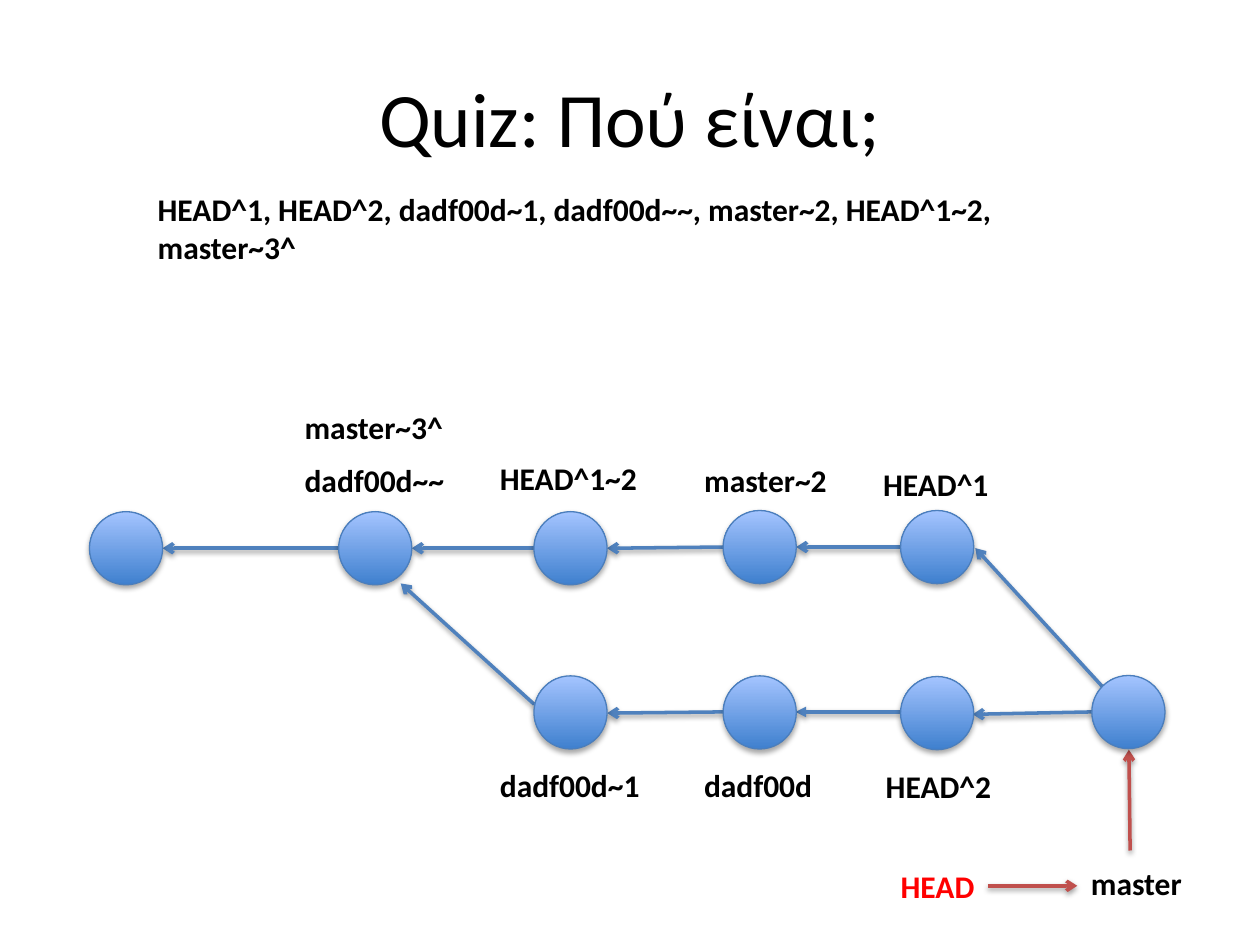
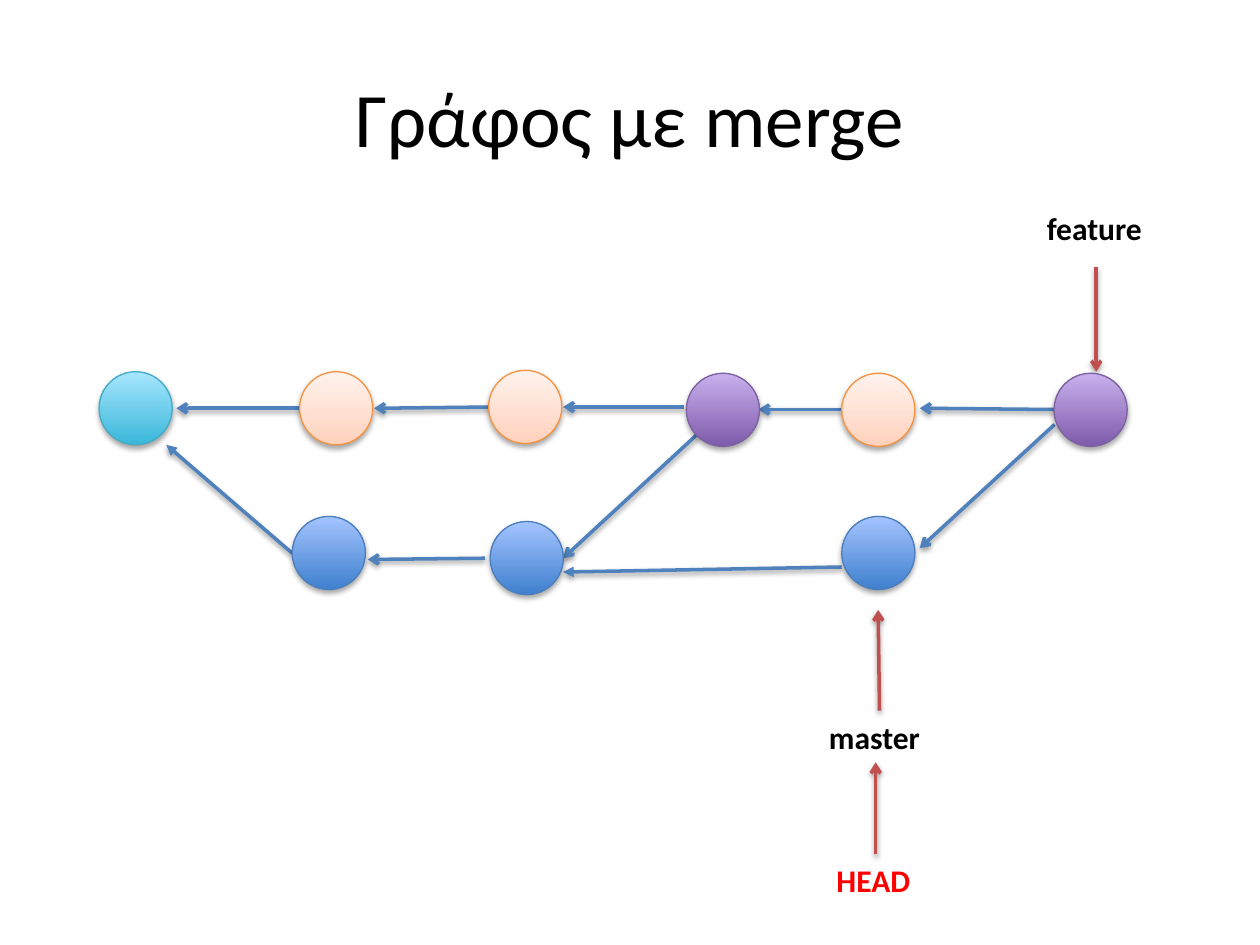
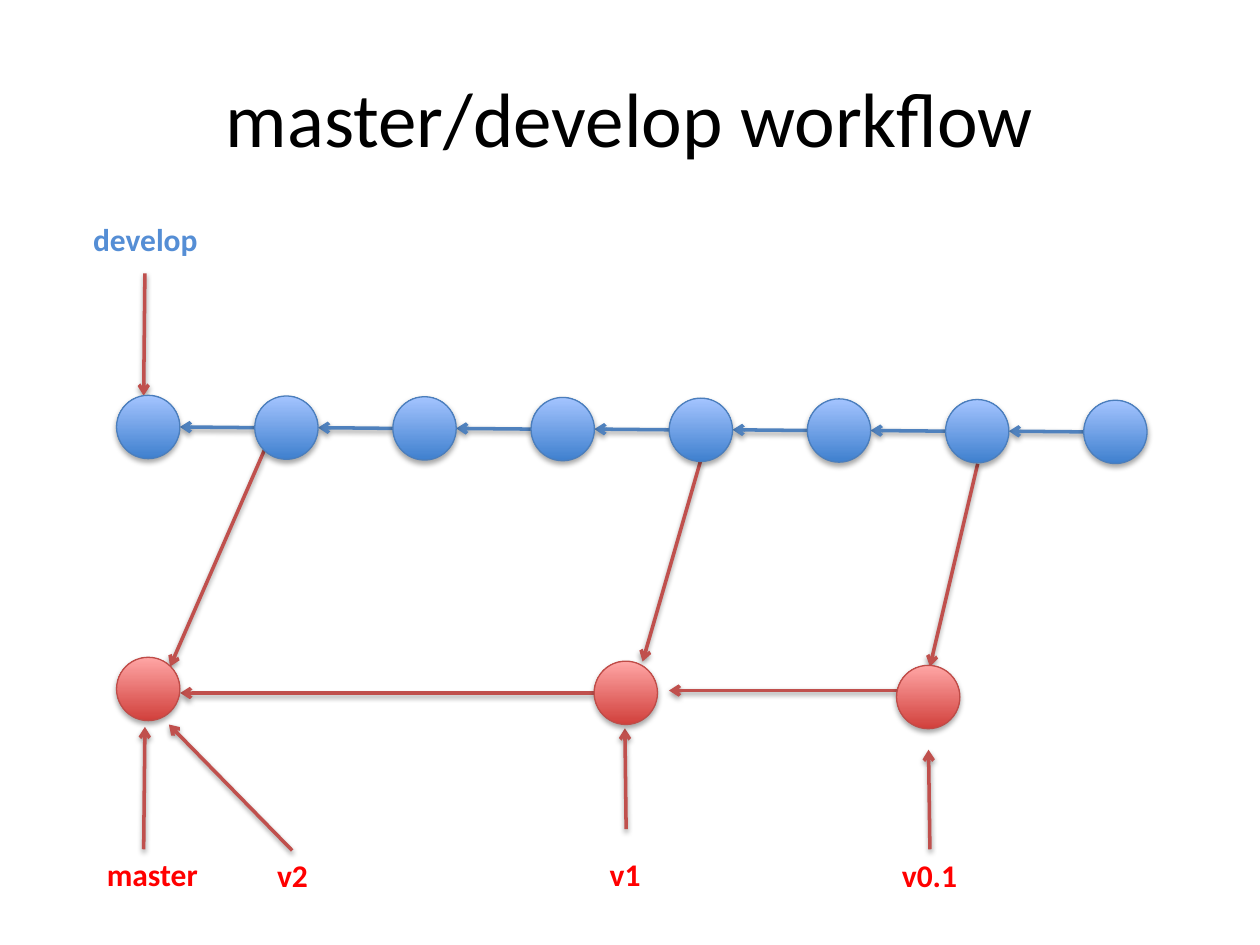
"""Builds three slides of Git commit graphs."""
from itertools import pairwise

from lxml import etree
from pptx import Presentation
from pptx.dml.color import RGBColor
from pptx.enum import shapes, text
from pptx.oxml import parse_xml
from pptx.oxml.ns import nsdecls, qn
from pptx.util import Pt

FONT = "Calibri"
BLACK = RGBColor(0x00, 0x00, 0x00)
RED = RGBColor(0xFF, 0x00, 0x00)
SKY = RGBColor(0x55, 0x8E, 0xD5)
PARENT = RGBColor(0x4F, 0x81, 0xBD)
POINTER = RGBColor(0xC0, 0x50, 0x4D)

# Each tone holds the bottom, top and outline colours of a commit.
BLUE = (RGBColor(0x3F, 0x80, 0xCE), RGBColor(0xA4, 0xC4, 0xFF), RGBColor(0x4B, 0x7E, 0xBC))
CYAN = (RGBColor(0x39, 0xB7, 0xD8), RGBColor(0xA7, 0xE6, 0xFF), RGBColor(0x46, 0xAA, 0xC5))
PEACH = (RGBColor(0xFF, 0xD2, 0xBD), RGBColor(0xFF, 0xF2, 0xED), RGBColor(0xF6, 0x92, 0x40))
PURPLE = (RGBColor(0x7F, 0x5B, 0xAB), RGBColor(0xC8, 0xB0, 0xED), RGBColor(0x7D, 0x60, 0xA0))
CRIMSON = (RGBColor(0xD1, 0x40, 0x3C), RGBColor(0xFF, 0xA6, 0xA5), RGBColor(0xBF, 0x4C, 0x48))

GRAPHS = [
    {
        "title": "Quiz: Πού είναι;",
        "diameter": 41.8,
        "chain": [(BLUE, 51.1, 292.4), (BLUE, 193.5, 292.4), (BLUE, 305.1, 292.4),
                  (BLUE, 413.2, 291.7), (BLUE, 514.6, 291.7)],
        "commits": [(BLUE, 305.1, 386.2), (BLUE, 413.2, 386.2), (BLUE, 514.6, 386.6),
                    (BLUE, 623.9, 386)],
        "arrows": [
            (PARENT, "arrow", [(305.3, 402.5, 229, 333.4), (630, 392.4, 557.3, 313.2),
                               (413.3, 406.8, 347, 407.5), (624.2, 406.8, 555.8, 408.2)]),
            (PARENT, "triangle", [(514.8, 406.8, 454.6, 406.8)]),
            (POINTER, "arrow", [(645.8, 486, 645.1, 428.4), (564.5, 506.2, 615.6, 506.2)]),
        ],
        "labels": [
            ("master~3^", 167, 229.7, 95, BLACK), ("dadf00d~~", 167, 259.9, 95, BLACK),
            ("HEAD^1~2", 278.6, 258.5, 93.6, BLACK), ("master~2", 395.3, 259.9, 85, BLACK),
            ("HEAD^1", 497.5, 262.1, 75.6, BLACK), ("dadf00d~1", 278.6, 434.2, 95, BLACK),
            ("dadf00d", 395.3, 434.2, 77, BLACK), ("HEAD^2", 499, 434.9, 75.6, BLACK),
            ("HEAD", 507.6, 491.8, 57.6, RED), ("master", 616.3, 490.3, 67.7, BLACK),
            ("HEAD^1, HEAD^2, dadf00d~1, dadf00d~~, master~2, HEAD^1~2, master~3^",
             83, 105.1, 573.2, BLACK),
        ],
    },
    {
        "title": "Γράφος με merge",
        "diameter": 41.8,
        "chain": [],
        "commits": [(CYAN, 56.6, 212.4), (PEACH, 171.2, 212.4), (PEACH, 279.2, 211.6),
                    (PURPLE, 392.2, 213.3), (PEACH, 481, 213.3), (PURPLE, 602.3, 213.3),
                    (BLUE, 167, 295.1), (BLUE, 280.1, 298), (BLUE, 481, 295.1)],
        "arrows": [
            (PARENT, "arrow", [
                (208.8, 233.3, 100.8, 233.3), (280, 232.6, 213.8, 233.3),
                (391, 232.6, 321.8, 232.6), (481, 234, 433.4, 234),
                (602.6, 234, 525.6, 233.3), (277.2, 319, 210.2, 319.7),
                (398.2, 248.4, 321.8, 319), (602.6, 242.6, 525.6, 313.2)]),
            (PARENT, "triangle", [(481, 324, 321.8, 326.9), (167, 316.1, 95, 254.2)]),
            (POINTER, "arrow", [(502.6, 406.1, 501.8, 348.5), (500.4, 488.2, 500.4, 435.6),
                                (626.4, 152.6, 626.4, 212.4)]),
        ],
        "labels": [("feature", 591.1, 115.9, 69.8, BLACK), ("master", 466.6, 406.8, 67.7, BLACK),
                   ("HEAD", 470.9, 488.2, 57.6, RED)],
    },
    {
        "title": "master/develop workflow",
        "diameter": 36.2,
        "chain": [(BLUE, 66.6 + 78.95 * step, 225.9 + 0.4 * step) for step in range(8)],
        "commits": [(CRIMSON, 66.6, 375.6), (CRIMSON, 339.5, 377.8), (CRIMSON, 512.3, 380.2)],
        "arrows": [
            (POINTER, "arrow", [
                (339.8, 396, 103, 396), (512.6, 394.6, 382.3, 394.6),
                (400.3, 263.5, 367.2, 378), (151.2, 257, 97.2, 380.9),
                (558.7, 265, 531.4, 380.9), (82.1, 485.3, 82.8, 415.4),
                (82.8, 156.2, 82.1, 226.1), (357.8, 473.8, 357.1, 416.2),
                (167, 486, 96.5, 414), (531.4, 485.3, 530.6, 428.4)]),
        ],
        "labels": [("develop", 46.1, 122.4, 74.9, SKY), ("master", 54, 485.3, 67.7, RED),
                   ("v2", 151.2, 485.6, 32.4, RED), ("v1", 341.3, 485.3, 32.4, RED),
                   ("v0.1", 508.3, 485.6, 46.1, RED)],
    },
]


def add_shadow(part, distance, opacity):
    """Gives a shape or connector a soft shadow straight below it."""
    part._element.spPr.append(parse_xml(
        f'<a:effectLst {nsdecls("a")}><a:outerShdw blurRad="{Pt(3.1)}" dist="{Pt(distance)}" '
        f'dir="5400000" rotWithShape="0"><a:srgbClr val="000000"><a:alpha val="{opacity}000"/>'
        '</a:srgbClr></a:outerShdw></a:effectLst>'))


def add_text(slide, words, box, size, color, bold=False, wrap=False):
    """Adds one line of text in a box given in points."""
    frame = slide.shapes.add_textbox(*map(Pt, box)).text_frame
    frame.word_wrap = wrap
    paragraph = frame.paragraphs[0]
    paragraph.text = words
    font = paragraph.font
    font.name, font.size, font.bold, font.color.rgb = FONT, Pt(size), bold, color
    return frame


def add_title(slide, words):
    """Adds the centred slide title."""
    frame = add_text(slide, words, (36, 21.6, 648, 90), 44, BLACK, wrap=True)
    frame.vertical_anchor = text.MSO_ANCHOR.MIDDLE
    frame.paragraphs[0].alignment = text.PP_ALIGN.CENTER


def add_arrow(slide, ends, color, head):
    """Draws an arrow between two points."""
    arrow = slide.shapes.add_connector(shapes.MSO_CONNECTOR.STRAIGHT, *map(Pt, ends))
    arrow.line.color.rgb = color
    arrow.line.width = Pt(2)
    etree.SubElement(arrow.line._get_or_add_ln(), qn("a:tailEnd"), type=head)
    add_shadow(arrow, 1.6, 38)


def add_commit(slide, tone, left, top, diameter):
    """Draws one commit as a shaded circle."""
    commit = slide.shapes.add_shape(
        shapes.MSO_SHAPE.OVAL, Pt(left), Pt(top), Pt(diameter), Pt(diameter))
    *shades, outline = tone
    commit.fill.gradient()
    commit.fill.gradient_angle = 90
    for stop, shade in zip(commit.fill.gradient_stops, shades):
        stop.color.rgb = shade
    commit.line.color.rgb = outline
    commit.line.width = Pt(0.75)
    add_shadow(commit, 1.8, 35)


def add_graph(deck, graph):
    """Adds one slide with its commits, arrows and labels."""
    slide = deck.slides.add_slide(deck.slide_layouts[6])
    diameter = graph["diameter"]
    radius = diameter / 2
    add_title(slide, graph["title"])
    for (_, left, top), (_, next_left, next_top) in pairwise(graph["chain"]):
        ends = (next_left, next_top + radius, left + diameter, top + radius)
        add_arrow(slide, ends, PARENT, "arrow")
    for color, head, routes in graph["arrows"]:
        for ends in routes:
            add_arrow(slide, ends, color, head)
    for tone, left, top in graph["chain"] + graph["commits"]:
        add_commit(slide, tone, left, top, diameter)
    for words, left, top, width, color in graph["labels"]:
        add_text(slide, words, (left, top, width, 29), 18, color, bold=True)


def main():
    """Builds and saves the deck."""
    deck = Presentation()
    deck.slide_width, deck.slide_height = Pt(720), Pt(540)
    for graph in GRAPHS:
        add_graph(deck, graph)
    deck.save("out.pptx")


if __name__ == "__main__":
    main()
